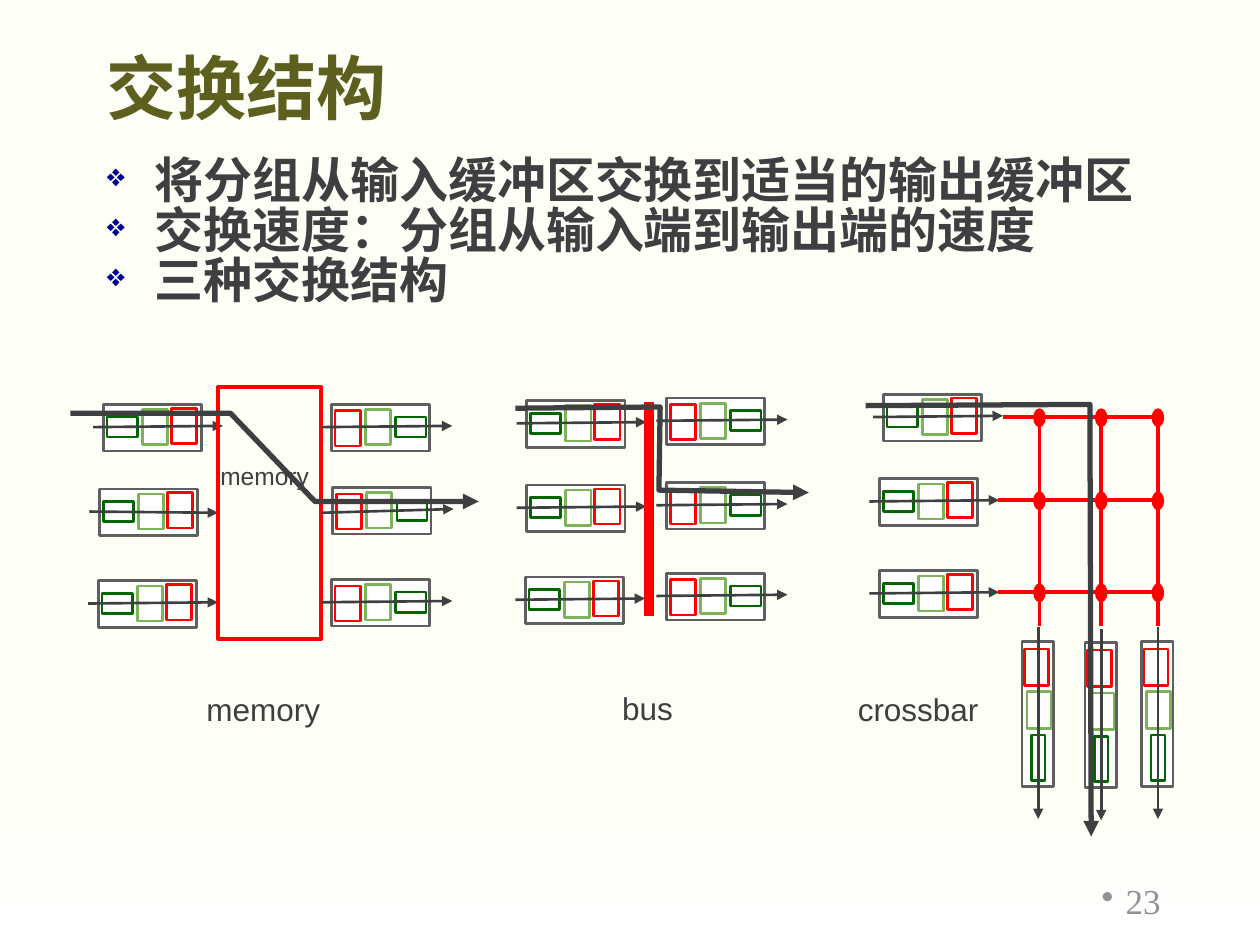
"""Build the slide on three switching fabrics: memory, bus and crossbar."""
from dataclasses import dataclass
from itertools import product

import lxml.etree
import pptx
import pptx.dml.color
import pptx.enum.shapes
import pptx.enum.text
import pptx.oxml.ns
import pptx.util

Inches = pptx.util.Inches
Pt = pptx.util.Pt
qn = pptx.oxml.ns.qn
SHAPE = pptx.enum.shapes.MSO_SHAPE
ANCHOR = pptx.enum.text.MSO_ANCHOR
ALIGN = pptx.enum.text.PP_ALIGN
AUTO_SIZE = pptx.enum.text.MSO_AUTO_SIZE

COLORS = {
    "cream": "FDFFF7", "white": "FFFFFF", "olive": "5D5F1F", "ink": "3D3F41",
    "navy": "000099", "muted": "919293", "frame": "5F5F5F",
    "dark_green": "006600", "light_green": "7DB359", "red": "FF0000",
}
CJK_FONT = "Noto Sans CJK SC"


@dataclass(frozen=True)
class Buffer:
    """A rectangle of a port, placed from the corner of the port's frame."""
    dx: float
    dy: float
    width: float
    height: float
    color: str


@dataclass(frozen=True)
class PortStyle:
    """The rectangles of a port, its arrow's end offsets and its rotation."""
    buffers: tuple[Buffer, ...]
    arrow: tuple[float, float, float, float]
    rotation: int = 0


@dataclass(frozen=True)
class TextStyle:
    """The look of a run of text."""
    size: int
    font: str
    color: str
    bold: bool = False


FRAME = Buffer(0, 0, 0.78, 0.37, "frame")
INPUT = PortStyle((
    FRAME,
    Buffer(0.03, 0.1, 0.24, 0.16, "dark_green"),
    Buffer(0.31, 0.04, 0.2, 0.28, "light_green"),
    Buffer(0.54, 0.03, 0.2, 0.28, "red"),
), (-0.08, 0.18, 0.95, 0.17))
OUTPUT = PortStyle((
    FRAME,
    Buffer(0.51, 0.1, 0.24, 0.16, "dark_green"),
    Buffer(0.27, 0.04, 0.2, 0.28, "light_green"),
    Buffer(0.03, 0.05, 0.2, 0.28, "red"),
), (-0.08, 0.18, 0.96, 0.17))
DOWN_OUTPUT = PortStyle((
    Buffer(0, 0, 1.15, 0.25, "frame"),
    Buffer(0.4, 0.42, 0.36, 0.11, "dark_green"),
    Buffer(0.44, 0, 0.29, 0.19, "light_green"),
    Buffer(0.42, -0.34, 0.29, 0.19, "red"),
), (0.58, -0.56, 0.58, 0.96), 90)


def rgb(color: str) -> pptx.dml.color.RGBColor:
    """Look a colour up by name."""
    return pptx.dml.color.RGBColor.from_string(COLORS[color])


def style_line(shape, color: str, width: float, arrow: bool = False) -> None:
    """Colour an outline and put an arrowhead at its end if asked."""
    shape.line.color.rgb = rgb(color)
    shape.line.width = Pt(width)
    if arrow:
        outline = shape._element.spPr.find(qn("a:ln"))
        lxml.etree.SubElement(outline, qn("a:tailEnd"), type="triangle")


def add_box(slide, left: float, top: float, buffer: Buffer, fill: str | None, width: float = 1.5):
    """Draw one outlined rectangle."""
    box = slide.shapes.add_shape(
        SHAPE.RECTANGLE, Inches(left + buffer.dx), Inches(top + buffer.dy),
        Inches(buffer.width), Inches(buffer.height))
    box.shadow.inherit = False
    if fill:
        box.fill.solid()
        box.fill.fore_color.rgb = rgb(fill)
    else:
        box.fill.background()
    style_line(box, buffer.color, width)
    return box


def add_line(slide, x1: float, y1: float, x2: float, y2: float,
             color: str, width: float, arrow: bool = False):
    """Draw one straight connector."""
    line = slide.shapes.add_connector(
        pptx.enum.shapes.MSO_CONNECTOR.STRAIGHT, Inches(x1), Inches(y1), Inches(x2), Inches(y2))
    style_line(line, color, width, arrow)
    lxml.etree.SubElement(line._element.spPr, qn("a:effectLst"))
    return line


def add_port(slide, left: float, top: float, style: PortStyle):
    """Draw a port with its buffers and return its arrow."""
    for buffer in style.buffers:
        add_box(slide, left, top, buffer, "white").rotation = style.rotation
    x1, y1, x2, y2 = style.arrow
    return add_line(slide, left + x1, top + y1, left + x2, top + y2, "ink", 1.5, True)


def add_ports(slide, corners: list[tuple[float, float]], style: PortStyle) -> list:
    """Draw a group of ports and return their arrows."""
    return [add_port(slide, left, top, style) for left, top in corners]


def add_route(slide, points: list[tuple[float, float]]) -> None:
    """Draw the thick bent arrow a packet follows."""
    corners = [(Inches(x), Inches(y)) for x, y in points]
    builder = slide.shapes.build_freeform(*corners[0])
    builder.add_line_segments(corners[1:], close=False)
    route = builder.convert_to_shape()
    route.shadow.inherit = False
    route.fill.background()
    style_line(route, "ink", 3, True)


def add_text(slide, left: float, top: float, width: float, height: float,
             text: str, style: TextStyle, wrap: bool = True):
    """Write a text box and return its frame."""
    frame = slide.shapes.add_textbox(
        Inches(left), Inches(top), Inches(width), Inches(height)).text_frame
    frame.word_wrap = wrap
    frame.auto_size = AUTO_SIZE.NONE if wrap else AUTO_SIZE.SHAPE_TO_FIT_TEXT
    frame.text = text
    for paragraph in frame.paragraphs:
        for run in paragraph.runs:
            run.font.size = Pt(style.size)
            run.font.name = style.font
            run.font.bold = style.bold
            run.font.color.rgb = rgb(style.color)
            lxml.etree.SubElement(run._r.get_or_add_rPr(), qn("a:ea"), typeface=CJK_FONT)
    return frame


def add_bullet(paragraph, char: str, color: str, percent: int, indent: float) -> None:
    """Give a paragraph a hanging bullet."""
    properties = paragraph._p.get_or_add_pPr()
    properties.set("marL", str(int(Inches(indent))))
    properties.set("indent", str(-int(Inches(indent))))
    bullet_color = lxml.etree.SubElement(properties, qn("a:buClr"))
    lxml.etree.SubElement(bullet_color, qn("a:srgbClr"), val=COLORS[color])
    lxml.etree.SubElement(properties, qn("a:buSzPct"), val=str(percent * 1000))
    lxml.etree.SubElement(properties, qn("a:buChar"), char=char)


def add_texts(slide) -> None:
    """Write the title, the points and the page number."""
    title = add_text(slide, 0.75, 0.33, 8.5, 0.75, "交换结构", TextStyle(40, "Arial", "olive", True))
    title.vertical_anchor = ANCHOR.BOTTOM
    title.paragraphs[0].line_spacing = 0.9
    page_number = add_text(slide, 7.06, 6.95, 2.25, 0.4, "23",
                           TextStyle(20, "Times New Roman", "muted"))
    page_number.vertical_anchor = ANCHOR.MIDDLE
    page_number.paragraphs[0].alignment = ALIGN.RIGHT
    add_bullet(page_number.paragraphs[0], "•", "muted", 100, 0.19)
    points = ("将分组从输入缓冲区交换到适当的输出缓冲区", "交换速度：分组从输入端到输出端的速度", "三种交换结构")
    body = add_text(slide, 0.75, 1.21, 8.5, 1.55, "\n".join(points),
                    TextStyle(28, CJK_FONT, "ink", True))
    for paragraph in body.paragraphs:
        add_bullet(paragraph, "❖", "navy", 65, 0.38)
        paragraph.line_spacing = 0.85


def add_memory_fabric(slide, label: TextStyle) -> None:
    """Draw switching through memory."""
    inputs = add_ports(slide, [(0.82, 3.21), (0.79, 3.88), (0.78, 4.61)], INPUT)
    memory = add_box(slide, 1.73, 3.07, Buffer(0, 0, 0.82, 2, "red"), None, 2.25)
    outputs = add_ports(slide, [(2.63, 3.21), (2.64, 3.87), (2.63, 4.6)], OUTPUT)
    inputs[1].end_connect(memory, 1)
    outputs[1].begin_connect(memory, 3)
    add_text(slide, 1.54, 5.43, 1.17, 0.62, "memory", label, False)
    add_text(slide, 1.65, 3.61, 0.95, 0.52, "memory", TextStyle(14, "Arial", "ink"), False)


def add_bus_fabric(slide, label: TextStyle) -> None:
    """Draw switching over a bus."""
    add_ports(slide, [(4.18, 3.18), (4.18, 3.85), (4.17, 4.58)], INPUT)
    add_line(slide, 5.15, 3.19, 5.15, 4.89, "red", 6)
    add_ports(slide, [(5.29, 3.16), (5.29, 3.83), (5.29, 4.55)], OUTPUT)
    add_text(slide, 4.84, 5.42, 0.64, 0.62, "bus", label, False)


def add_crossbar_fabric(slide, label: TextStyle) -> None:
    """Draw switching through a crossbar."""
    columns, rows = (8.25, 8.74, 9.19), (3.31, 3.97, 4.7)
    add_ports(slide, [(7.01, 3.13), (6.98, 3.8), (6.98, 4.53)], INPUT)
    add_ports(slide, [(8.61, 5.54), (8.16, 5.55), (7.66, 5.54)], DOWN_OUTPUT)
    for start, y in zip((7.96, 7.92, 7.92), rows):
        add_line(slide, start, y, columns[-1], y, "red", 2.25)
    for x in columns:
        add_line(slide, x, 4.97, x, rows[0], "red", 2.25)
    for x, y in product(columns, rows):
        crosspoint = slide.shapes.add_shape(
            SHAPE.OVAL, Inches(x - 0.05), Inches(y - 0.07), Inches(0.1), Inches(0.15))
        crosspoint.shadow.inherit = False
        crosspoint.fill.solid()
        crosspoint.fill.fore_color.rgb = rgb("red")
        crosspoint.line.fill.background()
    add_text(slide, 6.71, 5.43, 1.23, 0.62, "crossbar", label, False)


def main() -> None:
    """Build and save the slide."""
    deck = pptx.Presentation()
    deck.slide_width, deck.slide_height = Inches(10), Inches(7.5)
    slide = deck.slides.add_slide(deck.slide_layouts[6])
    backdrop = slide.background.fill
    backdrop.gradient()
    backdrop.gradient_angle = 270
    for stop, position, color in zip(backdrop.gradient_stops, (0.84, 1), ("cream", "white")):
        stop.position = position
        stop.color.rgb = rgb(color)
    add_texts(slide)
    label = TextStyle(18, "Arial", "ink")
    add_memory_fabric(slide, label)
    add_bus_fabric(slide, label)
    add_crossbar_fabric(slide, label)
    add_route(slide, [(0.56, 3.28), (1.83, 3.28), (2.5, 3.98), (3.8, 3.98)])
    add_route(slide, [(4.09, 3.24), (5.24, 3.23), (5.23, 3.89), (6.42, 3.91)])
    add_route(slide, [(6.87, 3.22), (8.65, 3.21), (8.66, 6.64)])
    deck.save("out.pptx")


if __name__ == "__main__":
    main()
